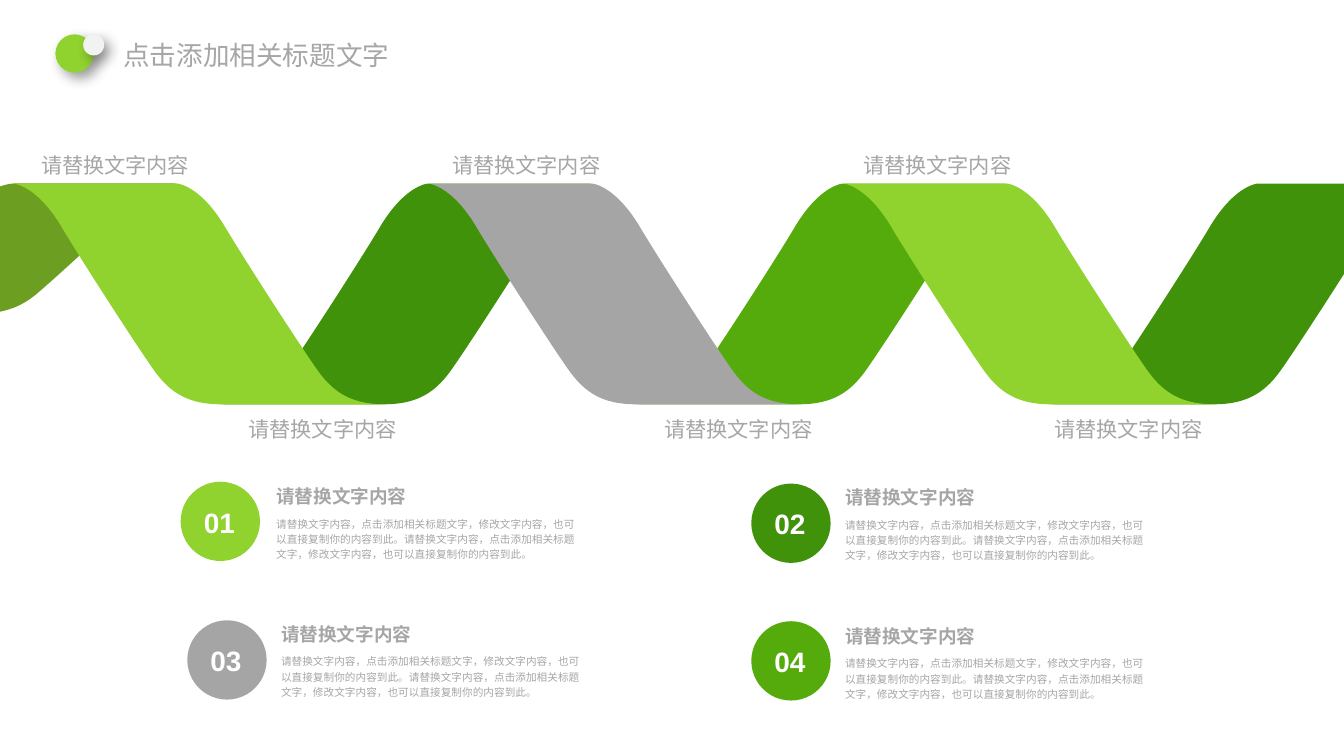
from dataclasses import dataclass

from lxml import etree
from pptx import Presentation
from pptx import util as u
from pptx.dml.color import RGBColor
from pptx.enum import shapes, text
from pptx.oxml import ns

PX = 9144
ALIGN = text.PP_ALIGN
HEAD = "请替换文字内容"
BODY = ("请替换文字内容，点击添加相关标题文字，修改文字内容，也可以直接复制你的内容到此。"
        "请替换文字内容，点击添加相关标题文字，修改文字内容，也可以直接复制你的内容到此。")


@dataclass(frozen=True)
class Theme:
    font: str = "Arial"
    lime: str = "90D22E"
    dark: str = "40920A"
    green: str = "54AB0B"
    olive: str = "6C9E22"
    gray: str = "A5A5A5"
    pale: str = "F2F2F2"
    ink: str = "A6A6A6"
    white: str = "FFFFFF"
    title: float = 20
    label: float = 16
    head: float = 14
    body: float = 8
    num: float = 21.1


T = Theme()
STEP, TOP, TALL, SHORT, WIDE = 217, 192, 231, 137, 171
EDGE = [(0, 0), (0, 0), (23, 1), (49, 43), (72, 82), (137, 182), (149, 198),
        (164, 218), (182, 231), (217, 231)]
BANDS = [
    (5, T.dark, TALL), (3, T.green, TALL), (4, T.lime, TALL), (1, T.dark, TALL),
    (2, T.gray, TALL), (-1, T.olive, SHORT), (0, T.lime, TALL),
]
LABELS = [(42, 154), (472, 154), (902, 154), (259, 430), (694, 430), (1102, 430)]
ITEMS = [
    ("01", T.lime, (189, 504), (289, 503)),
    ("02", T.dark, (786, 506), (884, 504)),
    ("03", T.gray, (196, 649), (294, 647)),
    ("04", T.green, (786, 650), (884, 649)),
]


def px(*vals):
    return [u.Emu(round(v * PX)) for v in vals]


def paint(shape, color):
    shape.shadow.inherit = False
    shape.fill.solid()
    shape.fill.fore_color.rgb = RGBColor.from_string(color)
    shape.line.fill.background()


def write(frame, words, size, color=T.ink, bold=False, align=ALIGN.LEFT, space=1.2):
    para = frame.paragraphs[0]
    para.text = words
    para.alignment = align
    para.line_spacing = space
    font = para.font
    font.name, font.size, font.bold = T.font, u.Pt(size), bold
    font.color.rgb = RGBColor.from_string(color)


def inset(frame, left=0, top=0, right=0, bottom=0):
    (frame.margin_left, frame.margin_top,
     frame.margin_right, frame.margin_bottom) = px(left, top, right, bottom)


def box(slide, area, words, size, wrap=True, **look):
    frame = slide.shapes.add_textbox(*px(*area)).text_frame
    inset(frame)
    frame.word_wrap = wrap
    frame.auto_size = text.MSO_AUTO_SIZE.SHAPE_TO_FIT_TEXT
    write(frame, words, size, **look)


def disc(slide, x, y, size, color):
    shape = slide.shapes.add_shape(shapes.MSO_SHAPE.OVAL, *px(x, y, size, size))
    paint(shape, color)
    return shape


def shade(shape):
    glow = shape._element.spPr.find(ns.qn("a:effectLst"))
    cast = etree.SubElement(glow, ns.qn("a:outerShdw"), blurRad=str(u.Pt(10)),
                            dist=str(u.Pt(6)), dir="2700000", algn="tl", rotWithShape="0")
    tint = etree.SubElement(cast, ns.qn("a:srgbClr"), val="000000")
    etree.SubElement(tint, ns.qn("a:alpha"), val="40000")


def bend(shape):
    legs = list(shape._element.spPr.iter(ns.qn("a:lnTo")))
    half = len(EDGE)
    for first in (*range(0, half - 1, 3), *range(half, 2 * half - 1, 3)):
        lead, *rest = legs[first:first + 3]
        lead.tag = ns.qn("a:cubicBezTo")
        for leg in rest:
            lead.append(leg[0])
            leg.getparent().remove(leg)


def band(slide, slot, color, tall):
    left = 14 + STEP * slot
    rise = slot % 2
    far = [(x + WIDE, y) for x, y in reversed(EDGE)]
    points = [px(left + (STEP + WIDE - x if rise else x), TOP + y * tall / TALL)
              for x, y in EDGE + far]
    pen = slide.shapes.build_freeform(*points[0], scale=1.0)
    pen.add_line_segments(points[1:], close=True)
    shape = pen.convert_to_shape()
    bend(shape)
    paint(shape, color)


def item(slide, num, color, spot, note):
    badge = disc(slide, *spot, 83, color)
    frame = badge.text_frame
    inset(frame, right=2, bottom=6)
    frame.word_wrap = False
    frame.vertical_anchor = text.MSO_ANCHOR.MIDDLE
    write(frame, num, T.num, T.white, True, ALIGN.CENTER)
    x, y = note
    box(slide, (x, y, 317, 26), HEAD, T.head, bold=True)
    box(slide, (x, y + 36, 317, 48), BODY, T.body)


def header(slide):
    shade(disc(slide, 58, 36, 40, T.lime))
    frame = slide.shapes.add_textbox(*px(118, 36, 335, 40)).text_frame
    inset(frame, 11, 5, 11, 5)
    frame.word_wrap = True
    write(frame, "点击添加相关标题文字", T.title, space=1.0)
    shade(disc(slide, 87, 36, 22, T.pale))


def main():
    deck = Presentation()
    deck.slide_width, deck.slide_height = px(1406, 791)
    slide = deck.slides.add_slide(deck.slide_layouts[6])
    for slot, color, tall in BANDS:
        band(slide, slot, color, tall)
    for x, y in LABELS:
        box(slide, (x, y, 157, 30), HEAD, T.label, wrap=False, align=ALIGN.CENTER)
    for entry in ITEMS:
        item(slide, *entry)
    header(slide)
    deck.save("out.pptx")


if __name__ == "__main__":
    main()
